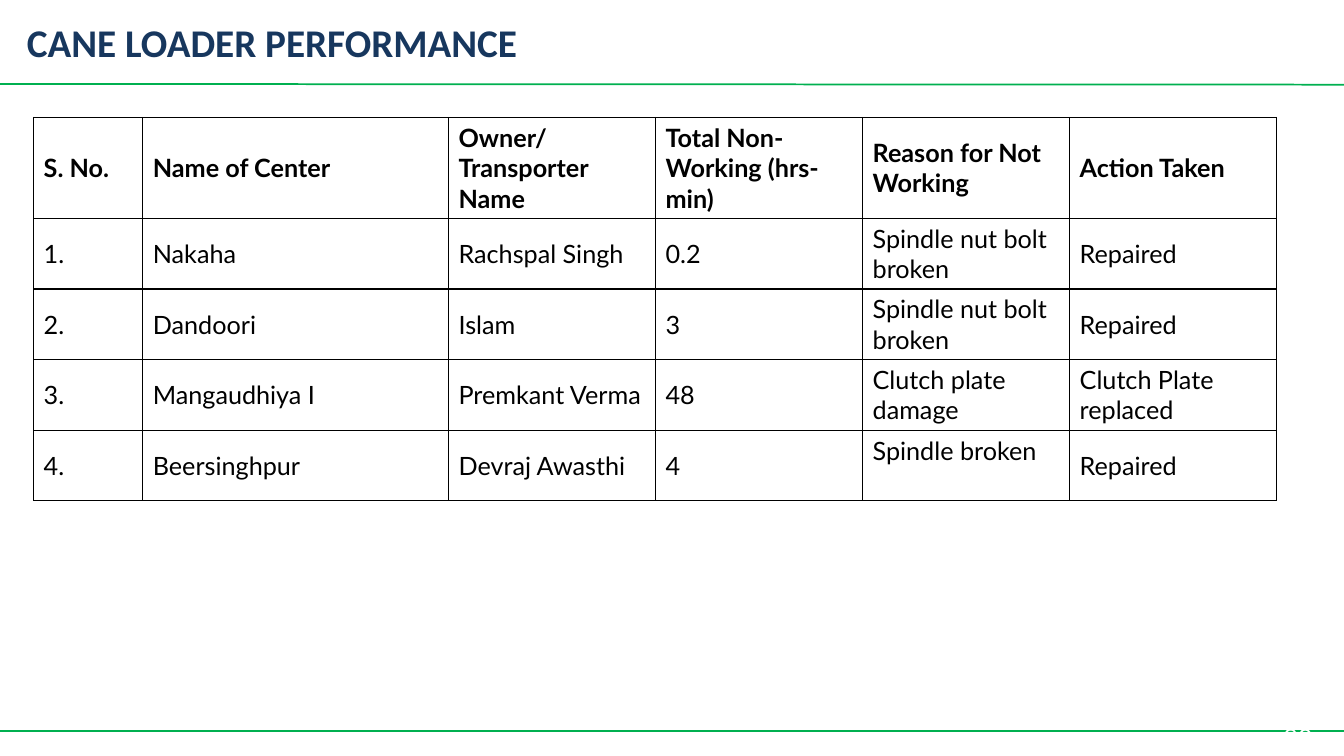
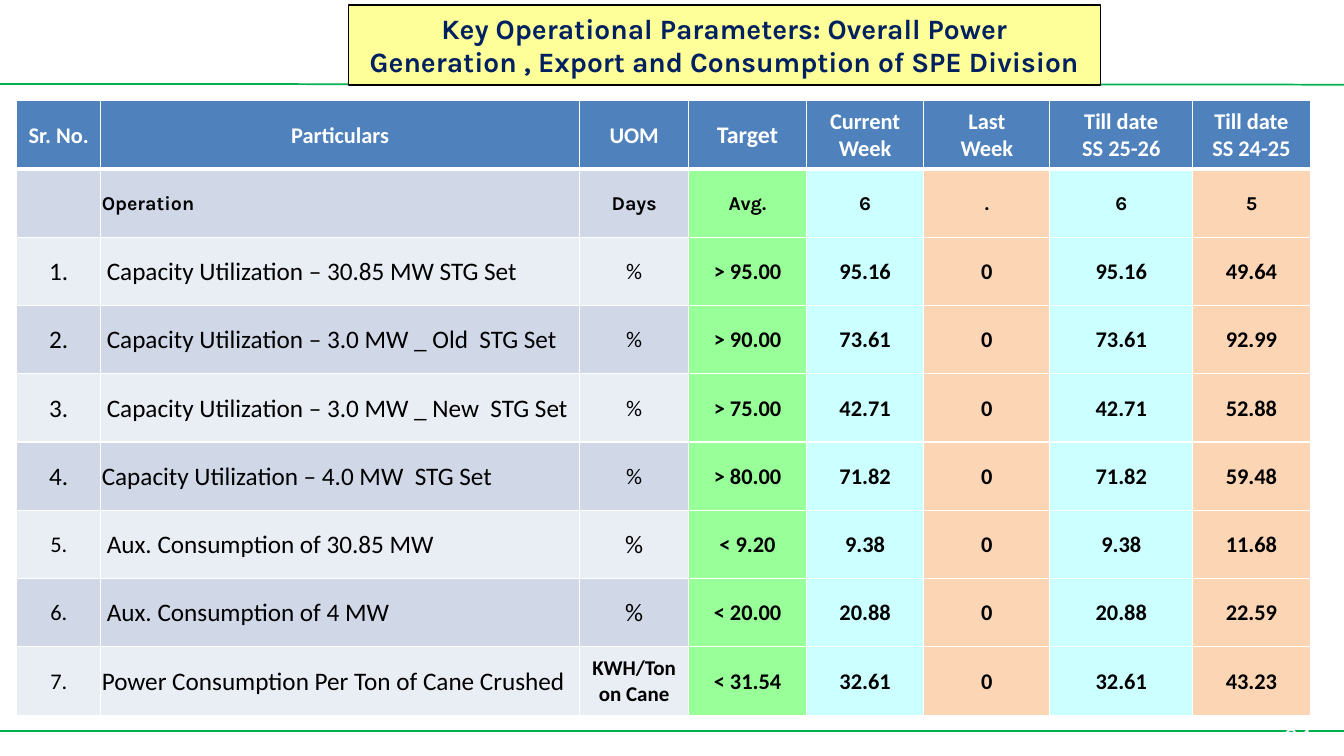
from lxml import etree
from pptx import Presentation
from pptx import util as u
from pptx.dml.color import RGBColor
from pptx.enum import shapes, text
from pptx.oxml import ns

COLUMNS, ROWS = 160, 90
UNIT = u.Inches(7.5) // ROWS

WHITE = RGBColor(0xFF, 0xFF, 0xFF)
BLACK = RGBColor(0x00, 0x00, 0x00)
GREEN = RGBColor(0x00, 0xB0, 0x50)
NAVY = RGBColor(0x17, 0x37, 0x5E)
DEEP_BLUE = RGBColor(0x00, 0x20, 0x60)
YELLOW = RGBColor(0xFF, 0xFF, 0x99)
HEADER_BLUE = RGBColor(0x4F, 0x81, 0xBD)
BAND_DARK = RGBColor(0xD0, 0xD8, 0xE8)
BAND_LIGHT = RGBColor(0xE9, 0xED, 0xF4)
TARGET_GREEN = RGBColor(0x99, 0xFF, 0x99)
CURRENT_CYAN = RGBColor(0xCC, 0xFF, 0xFF)
PAST_PEACH = RGBColor(0xFC, 0xD5, 0xB5)

LEFT, CENTER = text.PP_ALIGN.LEFT, text.PP_ALIGN.CENTER
TOP, MIDDLE = text.MSO_ANCHOR.TOP, text.MSO_ANCHOR.MIDDLE

LOADER_ROWS = [
    ("S. No.", "Name of Center", "Owner/Transporter Name",
     "Total Non-Working (hrs-min)", "Reason for Not Working", "Action Taken"),
    ("1.", "Nakaha", "Rachspal Singh", "0.2", "Spindle nut bolt broken", "Repaired"),
    ("2.", "Dandoori", "Islam", "3", "Spindle nut bolt broken", "Repaired"),
    ("3.", "Mangaudhiya I", "Premkant Verma", "48", "Clutch plate damage",
     "Clutch Plate replaced"),
    ("4.", "Beersinghpur", "Devraj Awasthi", "4", "Spindle broken", "Repaired"),
]
POWER_ROWS = [
    ("Sr. No.", "Particulars", "UOM", "Target", "Current Week", "Last\nWeek",
     "Till date\nSS 25-26", "Till date\nSS 24-25"),
    ("", "Operation", "Days", "Avg.", "6", ".", "6", "5"),
    ("1.", "Capacity Utilization – 30.85 MW STG Set", "%", "> 95.00",
     "95.16", "0", "95.16", "49.64"),
    ("2.", "Capacity Utilization – 3.0 MW _ Old  STG Set", "%", "> 90.00",
     "73.61", "0", "73.61", "92.99"),
    ("3.", "Capacity Utilization – 3.0 MW _ New  STG Set", "%", "> 75.00",
     "42.71", "0", "42.71", "52.88"),
    ("4.", "Capacity Utilization – 4.0 MW  STG Set", "%", "> 80.00",
     "71.82", "0", "71.82", "59.48"),
    ("5.", "Aux. Consumption of 30.85 MW", "%", "< 9.20",
     "9.38", "0", "9.38", "11.68"),
    ("6.", "Aux. Consumption of 4 MW", "%", "< 20.00",
     "20.88", "0", "20.88", "22.59"),
    ("7.", "Power Consumption Per Ton of Cane Crushed", "KWH/Ton on Cane",
     "< 31.54", "32.61", "0", "32.61", "43.23"),
]
FLUSH_ROWS = (1, 5, 8)
VALUE_FILLS = [TARGET_GREEN, CURRENT_CYAN, PAST_PEACH, CURRENT_CYAN, PAST_PEACH]


def grid(*counts):
    return [u.Emu(round(count * UNIT)) for count in counts]


def write(frame, words, align, color, **font_format):
    frame.text = words
    for paragraph in frame.paragraphs:
        paragraph.alignment = align
        paragraph.font.color.rgb = color
        for name, value in font_format.items():
            setattr(paragraph.font, name, value)


def add_rules(slide, layout):
    for start, end in ((10, 10.08), (87, 87)):
        rule = slide.shapes.add_connector(
            shapes.MSO_CONNECTOR.STRAIGHT, *grid(0, start, COLUMNS, end))
        rule.line.color.rgb = GREEN
        rule.line.width = u.Pt(1.25)
        etree.SubElement(rule.element.spPr, ns.qn("a:effectLst"))
        layout.shapes.element.append(rule.element)


def place_title(slide, box, words, align, color, **font_format):
    title = slide.shapes.title
    title.left, title.top, title.width, title.height = grid(*box)
    write(title.text_frame, words, align, color, bold=True, **font_format)
    for name, value in {"word_wrap": True, "vertical_anchor": MIDDLE,
                        "auto_size": text.MSO_AUTO_SIZE.NONE}.items():
        setattr(title.text_frame, name, value)
    return title


def add_page_number(slide, number):
    page = slide.shapes.add_textbox(*grid(151.6, 85.2, 8, 4.8))
    page.text_frame.word_wrap = True
    write(page.text_frame, number, LEFT, WHITE, name="Karla", size=u.Pt(18))


def add_borders(cell, color, top=1, bottom=1):
    properties = cell._tc.get_or_add_tcPr()
    for side, width in (("L", 1), ("R", 1), ("T", top), ("B", bottom)):
        edge = etree.SubElement(properties, ns.qn(f"a:ln{side}"), w=str(u.Pt(width)))
        fill = etree.SubElement(edge, ns.qn("a:solidFill"))
        etree.SubElement(fill, ns.qn("a:srgbClr"), val=str(color))


def add_grid_table(slide, origin, widths, heights, rows):
    table = slide.shapes.add_table(
        len(rows), len(widths), *grid(*origin, sum(widths), sum(heights))).table
    table.first_row = table.horz_banding = False
    for column, width in zip(table.columns, grid(*widths)):
        column.width = width
    for row, height in zip(table.rows, grid(*heights)):
        row.height = height
    for r, values in enumerate(rows):
        for c, words in enumerate(values):
            yield r, c, words, table.cell(r, c)


def add_loader_table(slide, origin):
    widths = [13, 36.4] + [24.65] * 4
    heights = [12] + [8.4] * 4
    for r, c, words, cell in add_grid_table(slide, origin, widths, heights, LOADER_ROWS):
        add_borders(cell, BLACK)
        cell.fill.background()
        cell.vertical_anchor = TOP if words == "Spindle broken" else MIDDLE
        write(cell.text_frame, words, LEFT, BLACK,
              name="Lato", size=u.Pt(18), bold=r == 0)


def power_font(r, c):
    if r == 0:
        return {"name": "Calibri", "size": u.Pt(17 if c == 3 else 16), "bold": True}
    if r == 1:
        return {"name": "Karla", "size": u.Pt(14), "bold": True}
    if (r, c) == (8, 2):
        return {"name": "Calibri", "size": u.Pt(15), "bold": True}
    large = c == 1 or (c == 0 and r < 6) or (c == 2 and r >= 6)
    return {"name": "Calibri", "size": u.Pt(18 if large else 16), "bold": c >= 3}


def power_fill(r, c):
    if r == 0:
        return HEADER_BLUE
    if c >= 3:
        return VALUE_FILLS[c - 3]
    return BAND_DARK if r % 2 else BAND_LIGHT


def add_power_table(slide, origin):
    widths = [10, 57, 13, 14, 14, 15, 17, 14]
    heights = [8.13] * len(POWER_ROWS)
    for r, c, words, cell in add_grid_table(slide, origin, widths, heights, POWER_ROWS):
        add_borders(cell, WHITE, top=3 if r == 1 else 1, bottom=3 if r == 0 else 1)
        cell.fill.solid()
        cell.fill.fore_color.rgb = power_fill(r, c)
        particular = c == 1 and r > 0
        indented = particular and r not in FLUSH_ROWS
        for name, value in {"vertical_anchor": MIDDLE,
                            "margin_left": u.Inches(0.06 if indented else 0.01),
                            "margin_right": u.Inches(0.01),
                            "margin_top": u.Inches(0.01),
                            "margin_bottom": 0}.items():
            setattr(cell, name, value)
        write(cell.text_frame, words, LEFT if particular else CENTER,
              WHITE if r == 0 else BLACK, **power_font(r, c))


def build_loader_slide(slide):
    place_title(slide, (2, 1, 119, 8), "CANE LOADER PERFORMANCE", LEFT, NAVY,
                name="Calibri", size=u.Pt(28))
    add_loader_table(slide, (4, 14))
    add_page_number(slide, "20")


def build_power_slide(slide):
    banner = place_title(
        slide, (41.5, 0.6, 89.5, 9.5),
        "Key Operational Parameters: Overall Power Generation , "
        "Export and Consumption of SPE Division",
        CENTER, DEEP_BLUE, name="Karla", size=u.Pt(20))
    banner.fill.solid()
    banner.fill.fore_color.rgb = YELLOW
    banner.line.color.rgb = BLACK
    banner.line.width = u.Pt(1)
    add_page_number(slide, "64")
    add_power_table(slide, (2, 12))


def main():
    deck = Presentation()
    deck.slide_width, deck.slide_height = grid(COLUMNS, ROWS)
    layout = deck.slide_layouts.get_by_name("Title Only")
    loader, power = (deck.slides.add_slide(layout) for _ in range(2))
    add_rules(loader, layout)
    build_loader_slide(loader)
    build_power_slide(power)
    deck.save("out.pptx")


if __name__ == "__main__":
    main()
